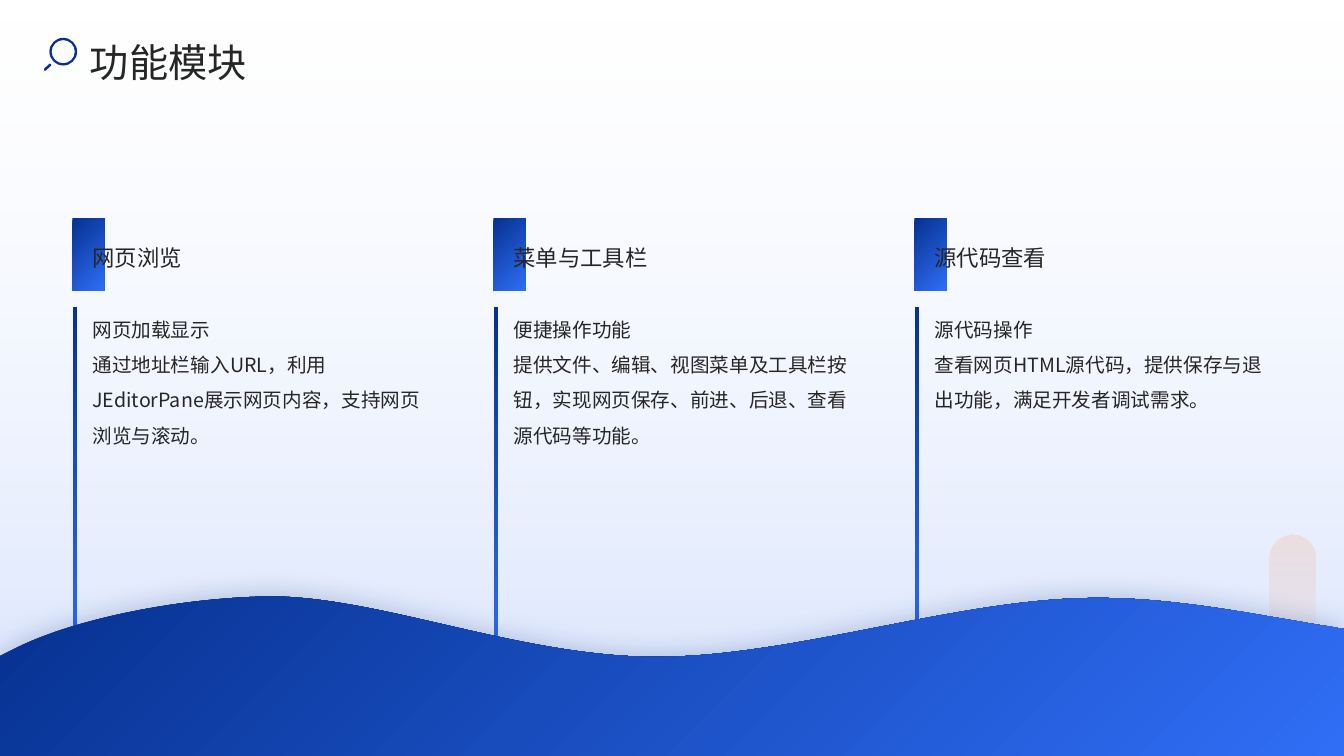
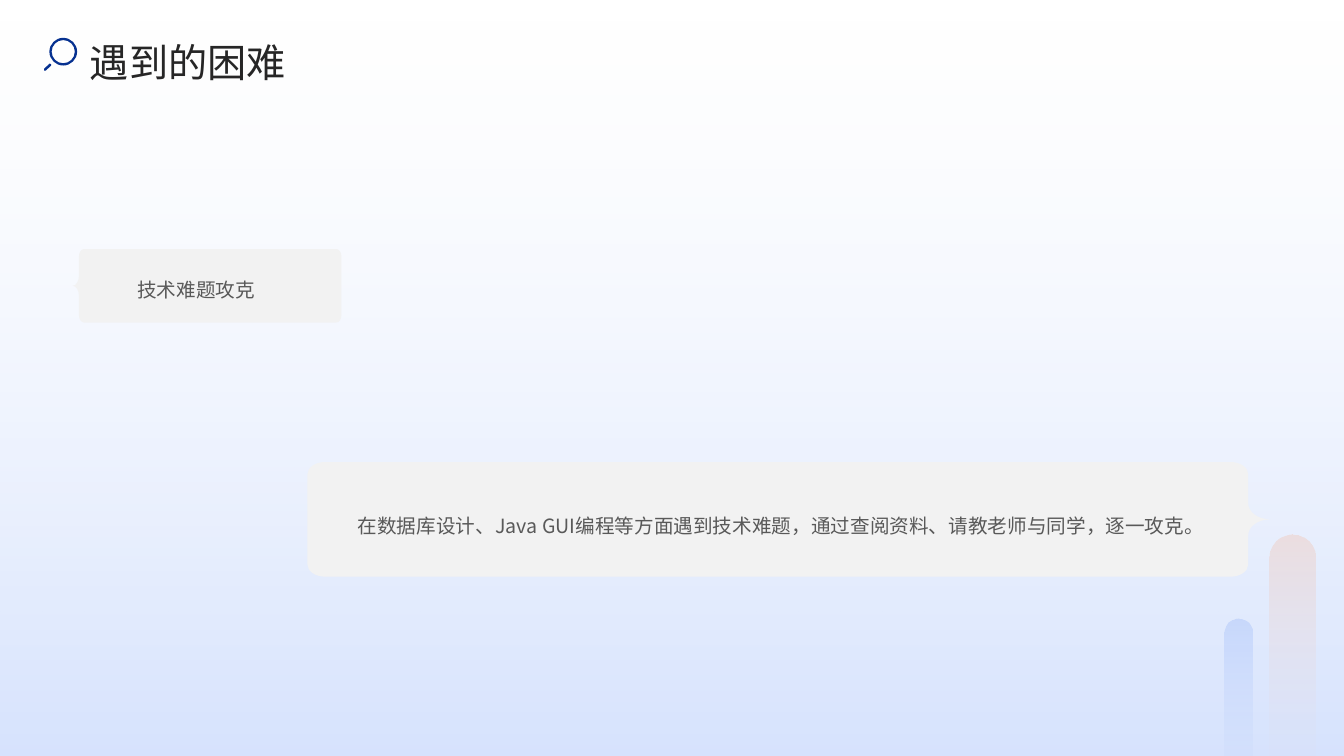
from lxml.etree import SubElement
from pptx import Presentation
from pptx.dml.color import RGBColor
from pptx.enum.shapes import MSO_SHAPE
from pptx.enum.text import MSO_ANCHOR, MSO_AUTO_SIZE, PP_ALIGN
from pptx.oxml.ns import qn
from pptx.util import Emu, Pt

COLUMNS, ROWS, CELL = 160, 90, 76200
FONT = "Noto Sans CJK SC"
NAVY, BLUE, PALE_BLUE = "063190", "306EF6", "BACFFC"
ORANGE, PALE_ORANGE = "FD9969", "FEDDCD"
SHADOW, BUBBLE, INK, GREY = "04256C", "F2F2F2", "262626", "595959"
BRAND = [(NAVY, 100), (BLUE, 100)]

MODULE_LEFT, MODULE_PITCH, TEXT_INDENT = 8.68, 50.12, 2.33
MODULES = [
    ("网页浏览", "网页加载显示\n通过地址栏输入URL，利用JEditorPane展示网页内容，支持网页浏览与滚动。"),
    ("菜单与工具栏", "便捷操作功能\n提供文件、编辑、视图菜单及工具栏按钮，实现网页保存、前进、后退、查看源代码等功能。"),
    ("源代码查看", "源代码操作\n查看网页HTML源代码，提供保存与退出功能，满足开发者调试需求。"),
]


def cells(count):
    """Convert grid cells to a length."""
    return Emu(round(count * CELL))


def rgb(code):
    """Turn a hex string into a colour."""
    return RGBColor.from_string(code)


def finish(shape):
    """Remove the outline and the theme shadow."""
    shape.line.fill.background()
    shape.shadow.inherit = False


def paint_solid(shape, color):
    """Fill a shape with one colour."""
    shape.fill.solid()
    shape.fill.fore_color.rgb = rgb(color)
    finish(shape)


def paint_gradient(shape, stops, angle):
    """Fill a shape with two (colour, opacity) stops at a clockwise angle."""
    shape.fill.gradient()
    shape.fill.gradient_angle = 360 - angle
    for stop, (color, _) in zip(shape.fill.gradient_stops, stops):
        stop.color.rgb = rgb(color)
    colors = shape._element.spPr.iter(qn("a:srgbClr"))
    for element, (_, opacity) in zip(colors, stops):
        if opacity < 100:
            SubElement(element, qn("a:alpha"), val=str(opacity * 1000))
    finish(shape)


def cast_shadow(shape, color, opacity, blur):
    """Give a shape a soft shadow."""
    effects = shape._element.spPr.find(qn("a:effectLst"))
    shadow = SubElement(effects, qn("a:outerShdw"), blurRad=str(Pt(blur)), dist="0",
                        dir="5400000", algn="t", rotWithShape="0")
    tint = SubElement(shadow, qn("a:srgbClr"), val=color)
    SubElement(tint, qn("a:alpha"), val=str(opacity * 1000))


def add_preset(slide, kind, box):
    """Add a preset shape at a grid box."""
    return slide.shapes.add_shape(kind, *map(cells, box))


def add_outline(slide, *contours):
    """Add a freeform of closed contours, each a start and segments of one or three points."""
    builder = None
    for start, *segments in contours:
        origin = tuple(map(cells, start))
        if builder is None:
            builder = slide.shapes.build_freeform(*origin, scale=1.0)
        else:
            builder.move_to(*origin)
        points = [tuple(map(cells, point)) for segment in segments for point in segment]
        builder.add_line_segments(points, close=True)
    shape = builder.convert_to_shape()
    steps = shape._element.spPr.iter(qn("a:lnTo"))
    lines = iter(list(steps))
    for segment in (segment for _, *segments in contours for segment in segments):
        first, *rest = [next(lines) for _ in segment]
        if rest:
            first.tag = qn("a:cubicBezTo")
            for line in rest:
                first.append(line[0])
                line.getparent().remove(line)
    return shape


def add_text(slide, box, text, size, color, spacing,
             anchor=MSO_ANCHOR.TOP, align=PP_ALIGN.LEFT, fit=MSO_AUTO_SIZE.NONE):
    """Add a wrapping text box without margins."""
    frame = slide.shapes.add_textbox(*map(cells, box)).text_frame
    frame.word_wrap = True
    frame.auto_size = fit
    frame.vertical_anchor = anchor
    frame.margin_left = frame.margin_right = frame.margin_top = frame.margin_bottom = 0
    paragraph = frame.paragraphs[0]
    paragraph.text = text
    paragraph.alignment = align
    paragraph.line_spacing = spacing
    font = paragraph.font
    font.name, font.size = FONT, Pt(size)
    font.color.rgb = rgb(color)
    SubElement(paragraph._p.pPr.find(qn("a:defRPr")), qn("a:ea"), typeface=FONT)


def quarter(start, corner, end):
    """Give the curve segment that rounds the corner between two points."""
    pull, push = (tuple(p + 0.55 * (c - p) for p, c in zip(point, corner))
                  for point in (start, end))
    return pull, push, end


def circle(x, y, radius):
    """Give a circle as a contour of four curves."""
    left, right, top, bottom = x - radius, x + radius, y - radius, y + radius
    return [
        (x, top),
        quarter((x, top), (right, top), (right, y)),
        quarter((right, y), (right, bottom), (x, bottom)),
        quarter((x, bottom), (left, bottom), (left, y)),
        quarter((left, y), (left, top), (x, top)),
    ]


def add_bubble(slide, box, corner, tail, flare, to_left=False):
    """Add a speech bubble with its tail halfway up one side."""
    left, top, width, height = box
    rx, ry = corner
    middle = height / 2
    tip = (width + tail, middle)
    segments = [
        [(width - rx, 0)],
        quarter((width - rx, 0), (width, 0), (width, ry)),
        [(width, middle - flare)],
        quarter((width, middle - flare), (width, middle), tip),
        quarter(tip, (width, middle), (width, middle + flare)),
        [(width, height - ry)],
        quarter((width, height - ry), (width, height), (width - rx, height)),
        [(rx, height)],
        quarter((rx, height), (0, height), (0, height - ry)),
        [(0, ry)],
        quarter((0, ry), (0, 0), (rx, 0)),
    ]

    def place(point):
        x, y = point
        return left + (width - x if to_left else x), top + y

    outline = [place((rx, 0)), *([place(point) for point in segment] for segment in segments)]
    paint_solid(add_outline(slide, outline), BUBBLE)


def add_backdrop(slide):
    """Draw the tinted ground and the two fading pillars."""
    ground = add_preset(slide, MSO_SHAPE.RECTANGLE, (0, 0, COLUMNS, ROWS))
    paint_gradient(ground, [(PALE_BLUE, 0), (BLUE, 20)], 90)
    pillars = [
        ((151.1, 63.7, 5.55, 30.5), [(ORANGE, 20), (PALE_ORANGE, 0)]),
        ((145.75, 73.65, 3.4, 23.4), [(BLUE, 15), (PALE_BLUE, 0)]),
    ]
    for box, stops in pillars:
        pillar = add_preset(slide, MSO_SHAPE.ROUNDED_RECTANGLE, box)
        pillar.adjustments[0] = 0.5
        paint_gradient(pillar, stops, 90)


def add_title(slide, title):
    """Write the title beside its magnifier."""
    add_text(slide, (10.7, 2.9, 136.2, 7.1), title, 28, INK, 1.3)
    handle = [
        (5.45, 8.4),
        [(6.1, 7.8)],
        [(6.15, 7.65), (6.05, 7.55), (5.9, 7.58)],
        [(5.25, 8.18)],
        [(5.15, 8.35), (5.3, 8.5), (5.45, 8.4)],
    ]
    magnifier = add_outline(slide, circle(7.53, 6.15, 1.65), circle(7.53, 6.15, 1.38), handle)
    paint_solid(magnifier, NAVY)


def add_module(slide, left, heading, description):
    """Draw one module column."""
    stripe = add_preset(slide, MSO_SHAPE.RECTANGLE, (left, 36.5, 0.48, 42.5))
    paint_gradient(stripe, BRAND, 90)
    tag = add_preset(slide, MSO_SHAPE.RECTANGLE, (left - 0.05, 26, 3.8, 8.6))
    paint_gradient(tag, BRAND, 45)
    text_left = left + TEXT_INDENT
    add_text(slide, (text_left, 26, 40, 8.6), heading, 16, INK, 1.2, MSO_ANCHOR.MIDDLE)
    add_text(slide, (text_left, 36.4, 40, 29.9), description, 14, INK, 1.5,
             fit=MSO_AUTO_SIZE.TEXT_TO_FIT_SHAPE)


def add_wave(slide):
    """Draw the wave along the bottom edge."""
    crest = (32.1, 71)
    outline = [
        crest,
        [(45.2, 71), (61.9, 78.2), (78.1, 78.2)],
        [(94.3, 78.2), (113.3, 71.5), (129.4, 71.2)],
        [(139.4, 71), (148.9, 73.1), (158.3, 74.6)],
        [(COLUMNS, 74.9)], [(COLUMNS, ROWS)], [(0, ROWS)], [(0, 78.1)], [(1.8, 77.2)],
        [(8.3, 73.9), (20.6, 71.2), crest],
    ]
    wave = add_outline(slide, outline)
    paint_gradient(wave, BRAND, 45)
    cast_shadow(wave, SHADOW, 25, 20)


def add_modules_slide(slide):
    """Show the three function modules."""
    for index, (heading, description) in enumerate(MODULES):
        add_module(slide, MODULE_LEFT + index * MODULE_PITCH, heading, description)
    add_wave(slide)


def add_difficulties_slide(slide):
    """Show the difficulty and how it was solved."""
    add_bubble(slide, (36.6, 55, 112, 13.65), (2.1, 1.45), 2.6, 1.9)
    add_bubble(slide, (9.4, 29.65, 31.25, 8.75), (0.6, 0.9), 0.75, 1.2, to_left=True)
    add_text(slide, (16.35, 23.95, 118, 19.7), "技术难题攻克", 14, GREY, 1.5, MSO_ANCHOR.MIDDLE)
    add_text(slide, (25.4, 51.9, 118, 20),
             "在数据库设计、Java GUI编程等方面遇到技术难题，通过查阅资料、请教老师与同学，逐一攻克。",
             14, GREY, 1.5, MSO_ANCHOR.MIDDLE, PP_ALIGN.RIGHT)


def main():
    """Build and save the presentation."""
    deck = Presentation()
    deck.slide_width, deck.slide_height = cells(COLUMNS), cells(ROWS)
    for title, add_content in (("功能模块", add_modules_slide), ("遇到的困难", add_difficulties_slide)):
        slide = deck.slides.add_slide(deck.slide_layouts[6])
        add_backdrop(slide)
        add_content(slide)
        add_title(slide, title)
    deck.save("out.pptx")


if __name__ == "__main__":
    main()
